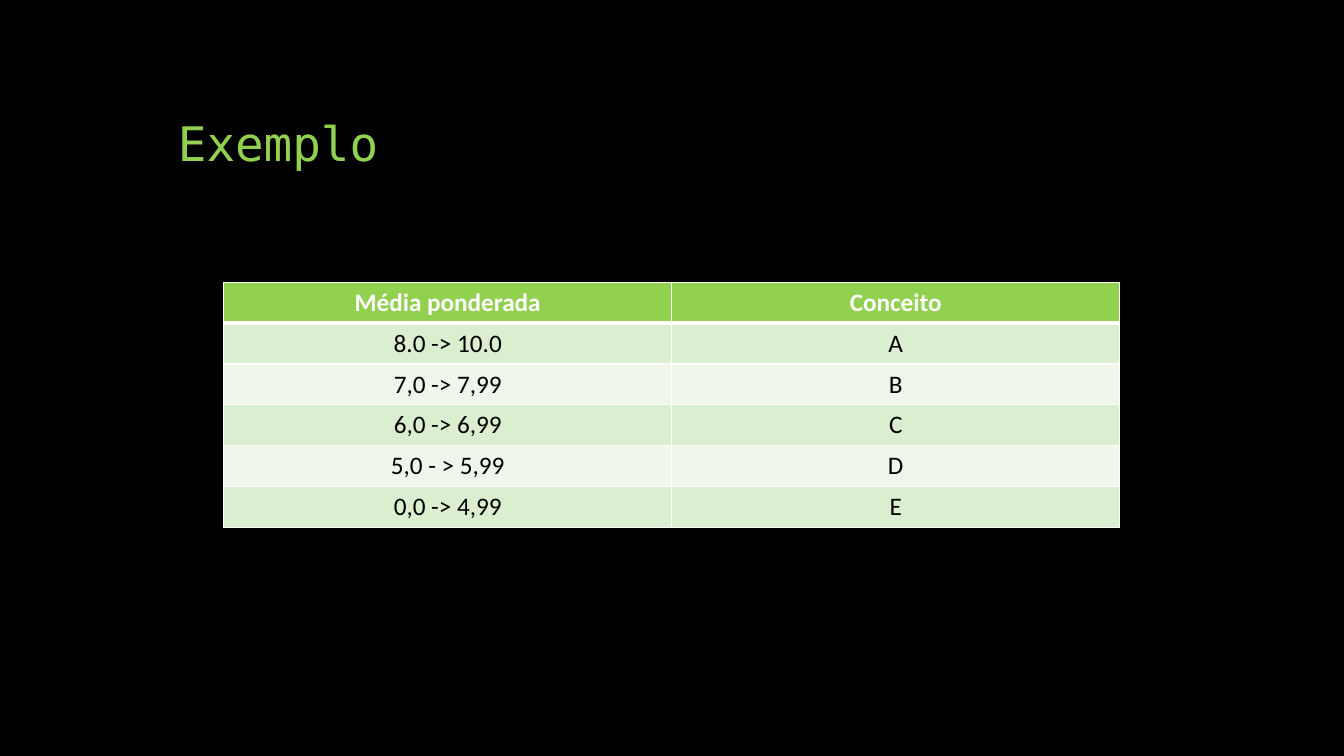
from lxml.etree import SubElement
from pptx import Presentation
from pptx.dml.color import RGBColor
from pptx.enum.text import MSO_ANCHOR, MSO_AUTO_SIZE, PP_ALIGN
from pptx.oxml.ns import qn
from pptx.util import Cm, Pt

TITLE = "Exemplo"
ROWS = [
    ("Média ponderada", "Conceito"),
    ("8.0 -> 10.0", "A"),
    ("7,0 -> 7,99", "B"),
    ("6,0 -> 6,99", "C"),
    ("5,0 - > 5,99", "D"),
    ("0,0 -> 4,99", "E"),
]
GREEN, WHITE, BLACK = "92D050", "FFFFFF", "000000"
BANDS = ("EEF7E9", "DCEED0")
COL_W, ROW_H = 11.29, 1.03


def rgb(value):
    return RGBColor.from_string(value)


def set_font(p, name, size, color, bold=False):
    p.font.name = name
    p.font.size = Pt(size)
    p.font.bold = bold
    p.font.color.rgb = rgb(color)


def set_borders(cell, top, bottom):
    tc_pr = cell._tc.get_or_add_tcPr()
    for side, width in (("L", 1), ("R", 1), ("T", top), ("B", bottom)):
        ln = SubElement(tc_pr, qn(f"a:ln{side}"), w=str(Pt(width)))
        SubElement(SubElement(ln, qn("a:solidFill")), qn("a:srgbClr"), val=WHITE)


def add_title(s):
    title = s.shapes.title
    title.left, title.top, title.width, title.height = Cm(4.23), Cm(1.27), Cm(25.4), Cm(3.18)
    tf = title.text_frame
    tf.text = TITLE
    tf.auto_size = MSO_AUTO_SIZE.NONE
    tf.vertical_anchor = MSO_ANCHOR.BOTTOM
    p = tf.paragraphs[0]
    p.alignment = PP_ALIGN.LEFT
    p.line_spacing = 0.9
    set_font(p, "DejaVu Sans Mono", 34, GREEN)


def add_grades(s):
    n_rows, n_cols = len(ROWS), len(ROWS[0])
    table = s.shapes.add_table(n_rows, n_cols, Cm(5.64), Cm(7.11),
                               Cm(COL_W * n_cols), Cm(ROW_H * n_rows)).table
    for column in table.columns:
        column.width = Cm(COL_W)
    for i, texts in enumerate(ROWS):
        table.rows[i].height = Cm(ROW_H)
        header = i == 0
        for j, text in enumerate(texts):
            cell = table.cell(i, j)
            set_borders(cell, 3 if i == 1 else 1, 3 if header else 1)
            cell.fill.solid()
            cell.fill.fore_color.rgb = rgb(GREEN if header else BANDS[i % 2])
            cell.vertical_anchor = MSO_ANCHOR.MIDDLE
            cell.text = text
            p = cell.text_frame.paragraphs[0]
            p.alignment = PP_ALIGN.CENTER
            set_font(p, "Calibri", 18, WHITE if header else BLACK, header)


def main():
    prs = Presentation()
    prs.slide_width, prs.slide_height = Cm(33.87), Cm(19.05)
    s = prs.slides.add_slide(prs.slide_layouts[5])
    s.background.fill.solid()
    s.background.fill.fore_color.rgb = rgb(BLACK)
    add_title(s)
    add_grades(s)
    prs.save("out.pptx")


if __name__ == "__main__":
    main()
